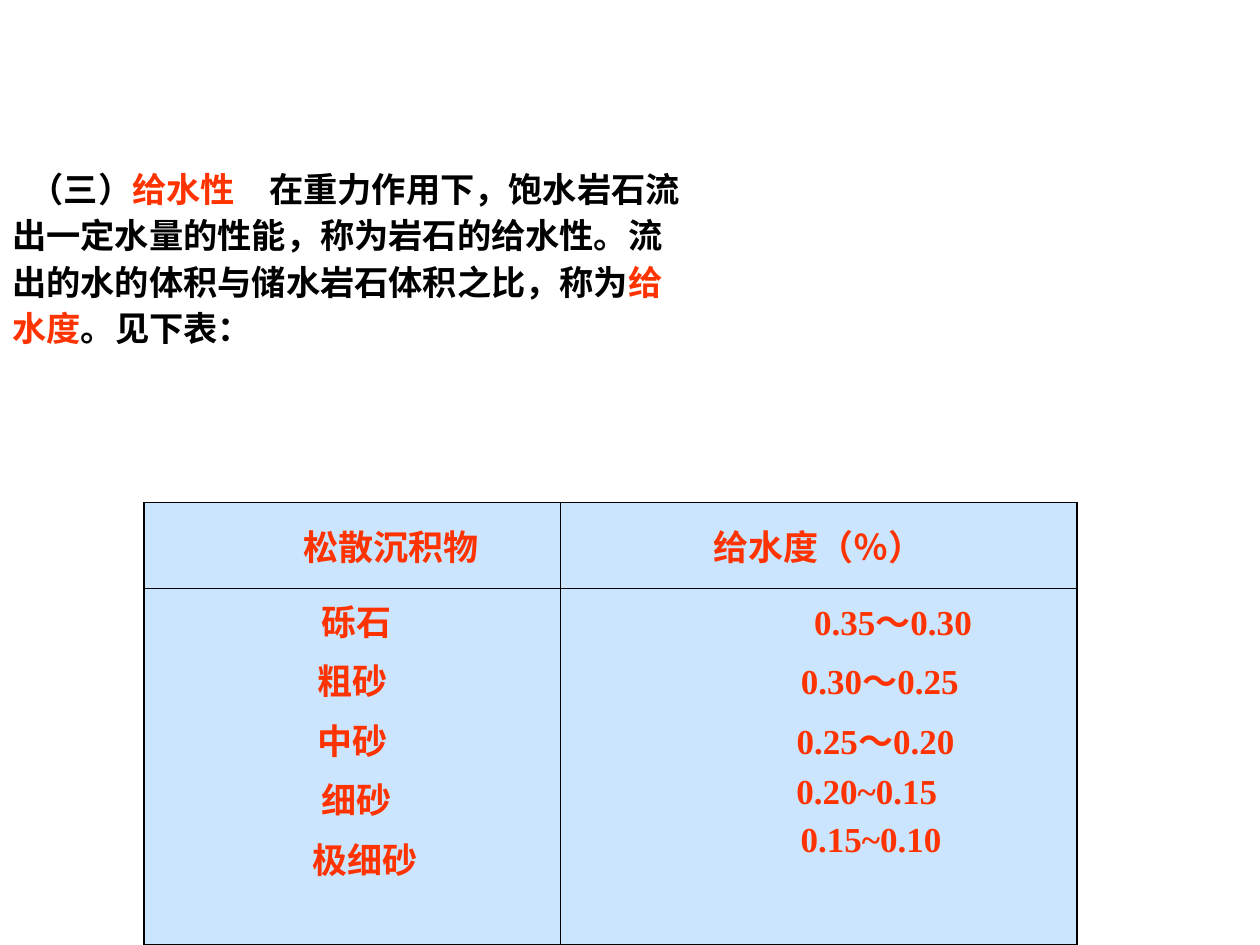
"""Build the slide on the specific yield of loose sediments."""
from dataclasses import dataclass

from lxml import etree
from pptx import Presentation
from pptx.dml.color import RGBColor
from pptx.enum.text import MSO_ANCHOR, PP_ALIGN
from pptx.oxml.ns import qn
from pptx.util import Cm, Pt

CENTER = PP_ALIGN.CENTER
LEFT = PP_ALIGN.LEFT
MIDDLE = MSO_ANCHOR.MIDDLE
TOP = MSO_ANCHOR.TOP

COLORS = {"text": "000000", "accent": "FF3300", "cell": "99CCFF", "border": "000000"}
FONT = {"name": "Times New Roman", "bold": True}
OUTER, INNER = 1.08, 0.45


@dataclass
class Run:
    text: str
    color: str = "text"


@dataclass
class Line:
    runs: list[Run]
    indent: float = 0


@dataclass
class Style:
    size: float
    space_before: float
    format: dict


BODY = Style(19.6, 7, {"alignment": LEFT, "line_spacing": 0.83})
CELL = Style(20, 5, {"alignment": CENTER})

INTRO = [
    Line([Run("（三）"), Run("给水性", "accent"), Run("　在重力作用下，饱水岩石流")], 0.35),
    Line([Run("出一定水量的性能，称为岩石的给水性。流")]),
    Line([Run("出的水的体积与储水岩石体积之比，称为"), Run("给", "accent")]),
    Line([Run("水度", "accent"), Run("。见下表：")]),
]

COL_WIDTHS = (8.4, 10.41)
ROW_HEIGHTS = (1.73, 7.19)
ROWS = [
    [[("松散沉积物", 1.58)], [("给水度（％）", 0)]],
    [
        [("砾石", 0.18), ("粗砂", 0), ("中砂", 0), ("细砂", 0.18), ("极细砂", 0.5)],
        [("0.35～0.30", 2.99), ("0.30～0.25", 2.46), ("0.25～0.20", 2.29),
         ("0.20~0.15", 1.94), ("0.15~0.10", 2.11)],
    ],
]


def set_attrs(target, values: dict) -> None:
    for name, value in values.items():
        setattr(target, name, value)


def write_lines(tf, lines: list[Line], style: Style) -> None:
    for i, line in enumerate(lines):
        p = tf.add_paragraph() if i else tf.paragraphs[0]
        set_attrs(p, style.format)
        p.space_before = Pt(style.space_before if i else 0)
        p._p.get_or_add_pPr().set("marL", str(Cm(line.indent)))
        for run in line.runs:
            r = p.add_run()
            r.text = run.text
            set_attrs(r.font, {**FONT, "size": Pt(style.size)})
            r.font.color.rgb = RGBColor.from_string(COLORS[run.color])


def fill_cell(cell) -> None:
    cell.fill.solid()
    cell.fill.fore_color.rgb = RGBColor.from_string(COLORS["cell"])
    color = cell._tc.tcPr.find(".//" + qn("a:srgbClr"))
    etree.SubElement(color, qn("a:alpha"), val="50000")


def add_borders(cell, widths: dict[str, float]) -> None:
    for i, (side, width) in enumerate(widths.items()):
        ln = etree.Element(qn(f"a:ln{side}"), w=str(Pt(width)))
        fill = etree.SubElement(ln, qn("a:solidFill"))
        etree.SubElement(fill, qn("a:srgbClr"), val=COLORS["border"])
        cell._tc.tcPr.insert(i, ln)


def add_intro(s) -> None:
    tf = s.shapes.add_textbox(Cm(0), Cm(3.33), Cm(20.09), Cm(5.59)).text_frame
    set_attrs(tf, {"word_wrap": True, "margin_top": Cm(0.2)})
    write_lines(tf, INTRO, BODY)


def add_yield_table(s) -> None:
    tbl = s.shapes.add_table(
        len(ROW_HEIGHTS), len(COL_WIDTHS), Cm(2.9), Cm(10.13),
        Cm(sum(COL_WIDTHS)), Cm(sum(ROW_HEIGHTS))).table
    set_attrs(tbl, {"first_row": False, "horz_banding": False})
    for col, width in zip(tbl.columns, COL_WIDTHS):
        col.width = Cm(width)
    for i, height in enumerate(ROW_HEIGHTS):
        tbl.rows[i].height = Cm(height)
        for j, entries in enumerate(ROWS[i]):
            cell = tbl.cell(i, j)
            cell.vertical_anchor = TOP if i else MIDDLE
            lines = [Line([Run(text, "accent")], indent) for text, indent in entries]
            write_lines(cell.text_frame, lines, CELL)
            fill_cell(cell)
            add_borders(cell, {
                "L": INNER if j else OUTER, "R": OUTER if j else INNER,
                "T": INNER if i else OUTER, "B": OUTER if i else INNER})


def main() -> None:
    prs = Presentation()
    set_attrs(prs, {"slide_width": Cm(25.4), "slide_height": Cm(19.05)})
    s = prs.slides.add_slide(prs.slide_layouts[6])
    add_intro(s)
    add_yield_table(s)
    prs.save("out.pptx")


if __name__ == "__main__":
    main()
